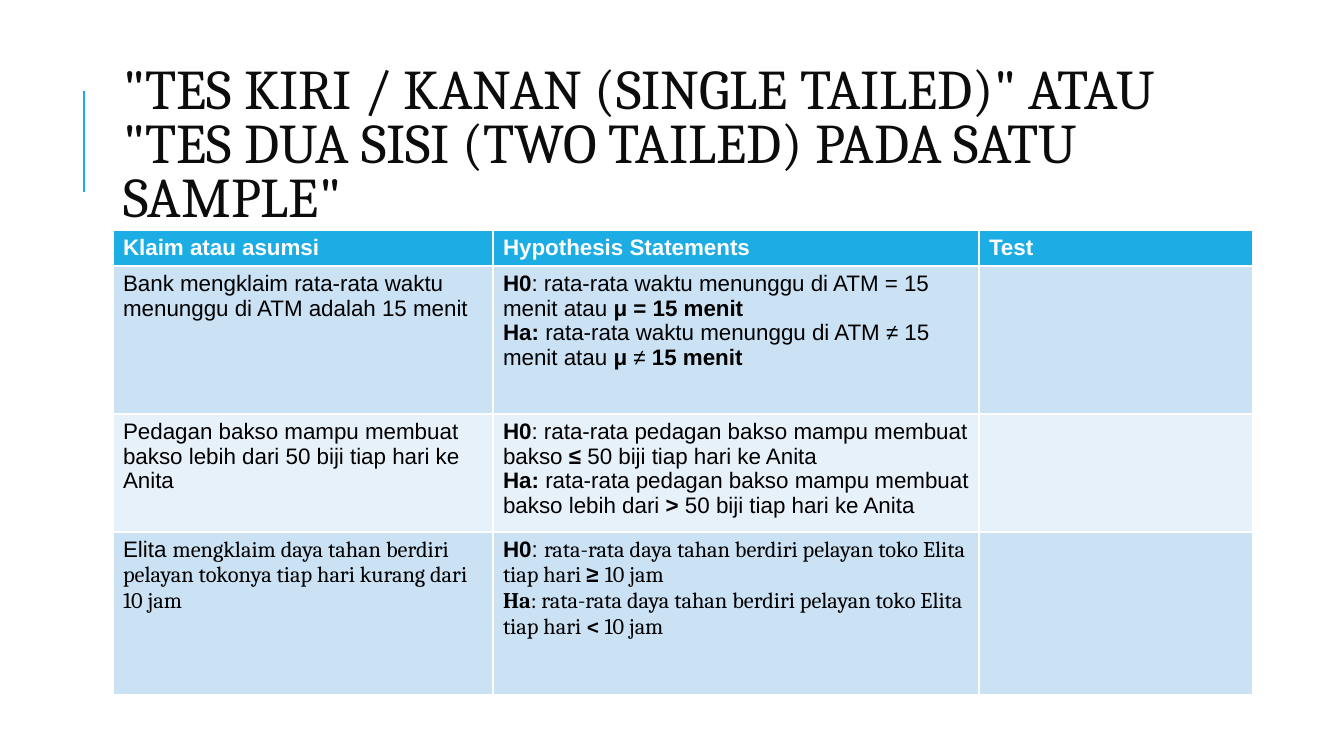
from pptx import Presentation
from pptx.dml.color import RGBColor
from pptx.enum.text import MSO_ANCHOR, PP_ALIGN
from pptx.oxml import parse_xml
from pptx.oxml.ns import nsdecls
from pptx.util import Pt

EMU_PER_PX = 914400 / 100.8
ACCENT, INK, BLACK, WHITE = "1CADE4", "0C0C0C", "000000", "FFFFFF"
BANDS = ["CBE2F5", "E7F1FA"]
SANS, SERIF = "Arial", "Cambria"

COLUMN_WIDTHS = [380, 486, 274]
ROW_HEIGHTS = [36, 148, 118, 163]
HEADINGS = ["Klaim atau asumsi", "Hypothesis Statements", "Test"]

# Each span is (text, bold, font).


def plain(text, font=SANS):
    return text, False, font


def bold(text, font=SANS):
    return text, True, font


CLAIMS = [
    [[plain("Bank mengklaim rata-rata waktu menunggu di ATM adalah 15 menit")]],
    [[plain("Pedagan bakso mampu membuat bakso lebih dari 50 biji tiap hari ke Anita")]],
    [[plain("Elita "),
      plain("mengklaim daya tahan berdiri pelayan tokonya tiap hari kurang dari 10 jam", SERIF)]],
]
HYPOTHESES = [
    [[bold("H0"), plain(": rata-rata waktu menunggu di ATM = 15 menit atau "),
      bold("μ = 15 menit")],
     [bold("Ha: "), plain("rata-rata waktu menunggu di ATM ≠ 15 menit atau "),
      bold("μ "), plain("≠"), bold(" 15 menit")]],
    [[bold("H0"), plain(": rata-rata pedagan bakso mampu membuat bakso "),
      bold("≤ "), plain("50 biji tiap hari ke Anita")],
     [bold("Ha: "), plain("rata-rata pedagan bakso mampu membuat bakso lebih dari "),
      bold(">"), plain(" 50 biji tiap hari ke Anita")]],
    [[bold("H0"), plain(": "),
      plain("rata-rata daya tahan berdiri pelayan toko Elita tiap hari ", SERIF),
      bold("≥ "), plain("10 jam", SERIF)],
     [bold("Ha", SERIF),
      plain(": rata-rata daya tahan berdiri pelayan toko Elita tiap hari ", SERIF),
      bold("< ", SERIF), plain("10 jam", SERIF)]],
]


def px(length):
    return round(length * EMU_PER_PX)


def color(value):
    return RGBColor.from_string(value)


class Page:
    def __init__(self, deck):
        self.slide = deck.slides.add_slide(deck.slide_layouts[5])

    def title(self, text, left, top, width, height):
        box = self.slide.shapes.title
        box.left, box.top, box.width, box.height = map(px, (left, top, width, height))
        box.text_frame.text = text
        box.text_frame.word_wrap = True
        box.text_frame.vertical_anchor = MSO_ANCHOR.MIDDLE
        para = box.text_frame.paragraphs[0]
        para.alignment = PP_ALIGN.LEFT
        para.line_spacing = 0.8
        para.font.name, para.font.size = SERIF, Pt(40)
        para.font.color.rgb = color(INK)

    def line(self, *ends):
        line = self.slide.shapes.add_connector(1, *map(px, ends))
        line.line.color.rgb = color(ACCENT)
        line.line.width = Pt(1.5)
        line._element.spPr.append(parse_xml(f"<a:effectLst {nsdecls('a')}/>"))

    def table(self, left, top, widths, heights):
        table = self.slide.shapes.add_table(
            len(heights), len(widths), px(left), px(top),
            px(sum(widths)), px(sum(heights))).table
        for column, width in zip(table.columns, widths):
            column.width = px(width)
        for row, height in zip(table.rows, heights):
            row.height = px(height)
        return table

    def cell(self, cell, paragraphs, fill, ink):
        cell.fill.solid()
        cell.fill.fore_color.rgb = color(fill)
        frame = cell.text_frame
        for index, spans in enumerate(paragraphs):
            para = frame.add_paragraph() if index else frame.paragraphs[0]
            para.font.size = Pt(16)
            para.font.color.rgb = color(ink)
            for text, is_bold, font in spans:
                span = para.add_run()
                span.text = text
                span.font.bold, span.font.name = is_bold, font


def main():
    deck = Presentation()
    deck.slide_width, deck.slide_height = px(1344), px(756)
    page = Page(deck)
    page.line(84, 192, 84, 91)
    page.title('"TES KIRI / KANAN (SINGLE TAILED)" ATAU "TES DUA SISI (TWO TAILED) '
               'PADA SATU SAMPLE"', 113, 65, 1072, 165)
    table = page.table(113, 230, COLUMN_WIDTHS, ROW_HEIGHTS)
    for column, heading in enumerate(HEADINGS):
        page.cell(table.cell(0, column), [[bold(heading)]], ACCENT, WHITE)
    for row, (claim, hypothesis) in enumerate(zip(CLAIMS, HYPOTHESES)):
        for column, paragraphs in enumerate([claim, hypothesis, []]):
            page.cell(table.cell(row + 1, column), paragraphs, BANDS[row % 2], BLACK)
    deck.save("out.pptx")


if __name__ == "__main__":
    main()
